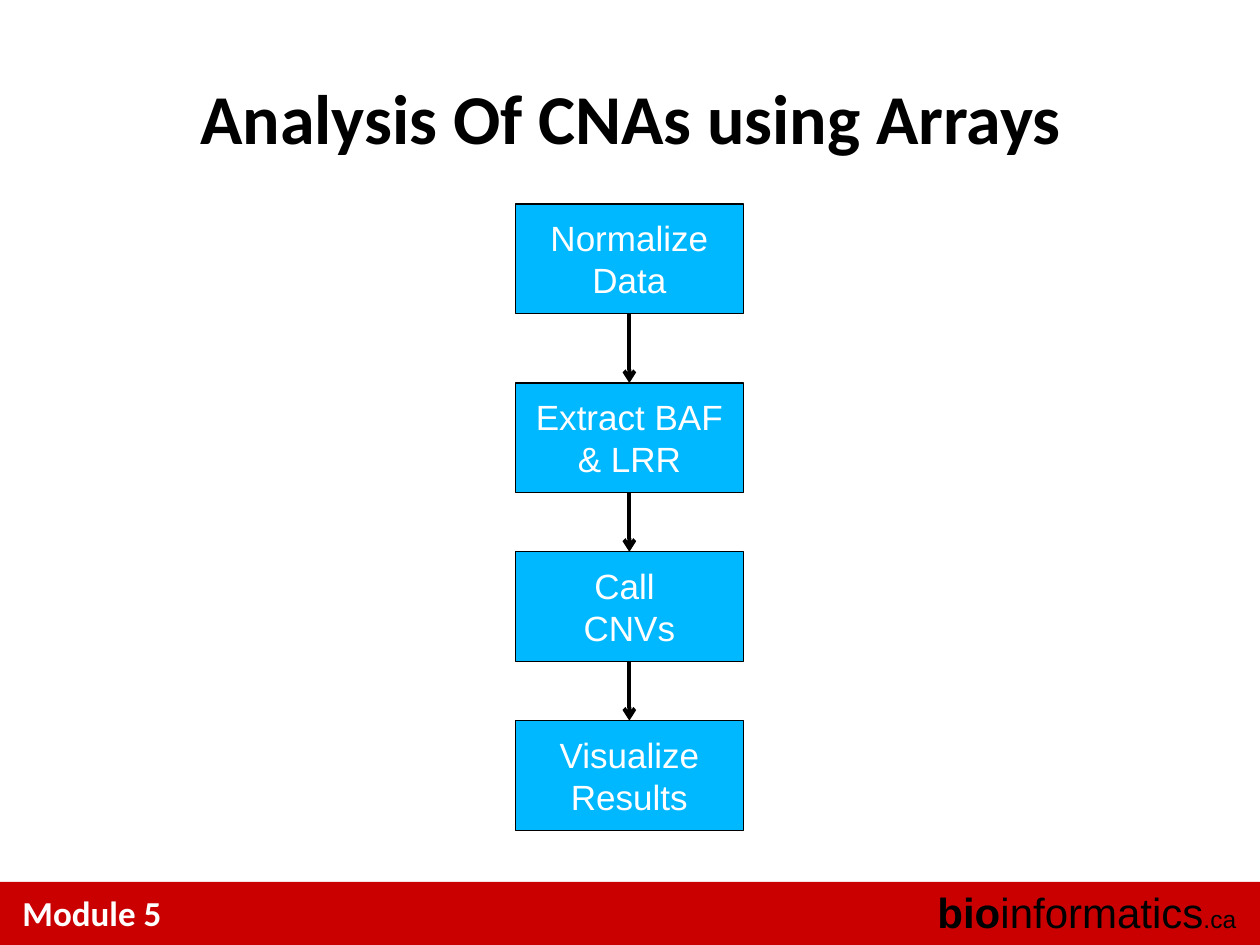
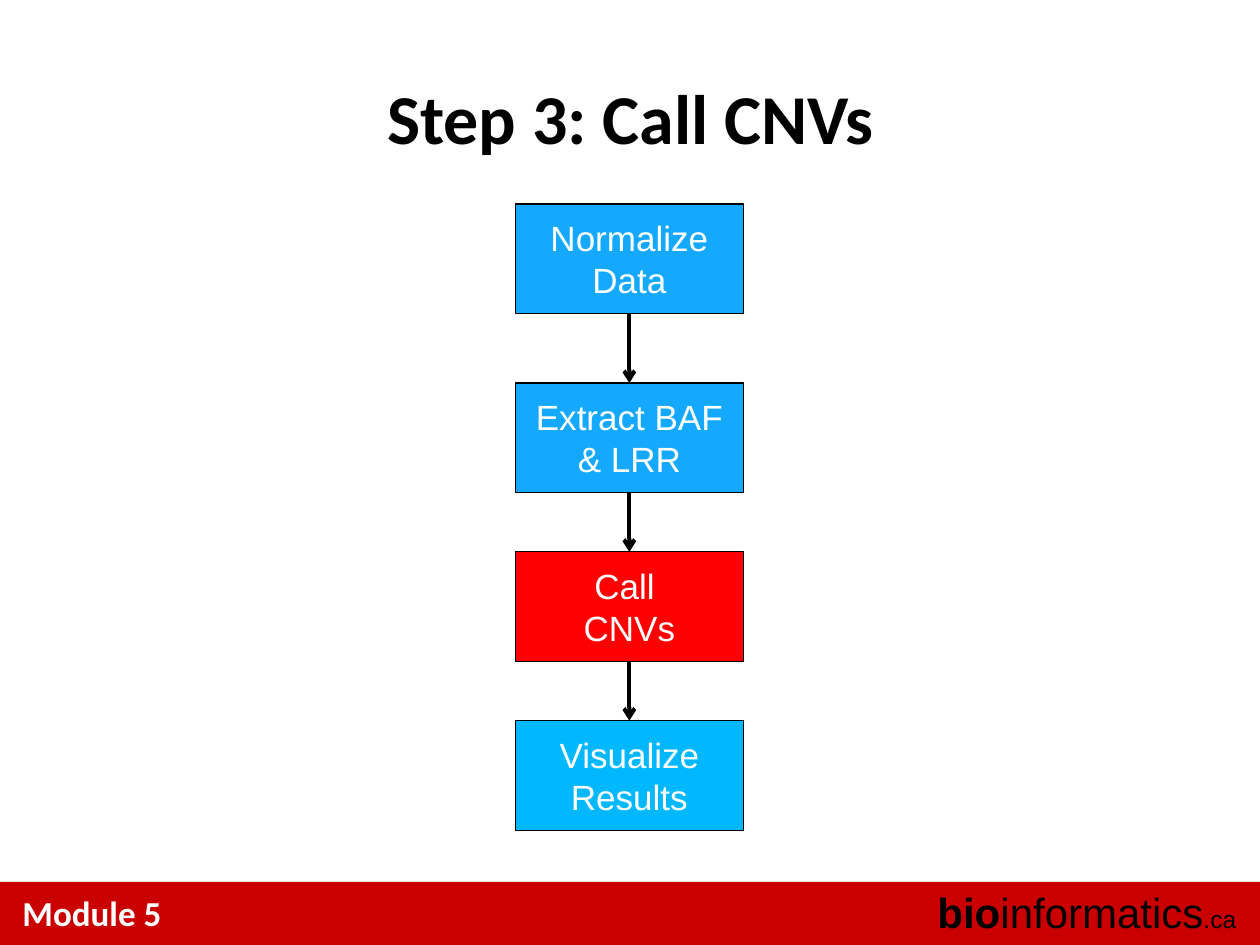
import lxml.etree
import pptx
import pptx.dml.color
import pptx.enum.shapes
import pptx.enum.text
import pptx.oxml.ns
import pptx.util

COLS, ROWS = 100, 75
BLACK, WHITE, BAND = "000000", "FFFFFF", "CA0000"
SKY, BLUE, RED = "00B8FF", "14A8FF", "FF0000"
STEPS = ["Normalize Data", "Extract BAF & LRR", "Call \vCNVs", "Visualize Results"]
STEP_TOPS = [16.2, 30.4, 43.8, 57.2]
SLIDES = [
    ("Analysis Of CNAs using Arrays", [SKY] * 4),
    ("Step 3: Call CNVs", [BLUE, BLUE, RED, SKY]),
]
ALIGN = pptx.enum.text.PP_ALIGN
ANCHOR = pptx.enum.text.MSO_ANCHOR


def color(value):
    return pptx.dml.color.RGBColor.from_string(value)


class Deck:
    heading_font, body_font = "Calibri", "Arial"

    def __init__(self):
        self.prs = pptx.Presentation()
        self.prs.slide_width = pptx.util.Inches(10)
        self.prs.slide_height = pptx.util.Inches(7.5)
        self.s = None

    def area(self, x, y, w, h):
        col, row = self.prs.slide_width / COLS, self.prs.slide_height / ROWS
        return [round(v) for v in (x * col, y * row, w * col, h * row)]

    def style(self, r, size, font, fill, bold=False):
        r.font.size = pptx.util.Pt(size)
        r.font.name = font
        r.font.bold = bold
        r.font.color.rgb = color(fill)

    def text(self, grid, runs, align=ALIGN.LEFT, anchor=ANCHOR.TOP):
        tf = self.s.shapes.add_textbox(*self.area(*grid)).text_frame
        tf.word_wrap = True
        tf.vertical_anchor = anchor
        p = tf.paragraphs[0]
        p.alignment = align
        for words, *look in runs:
            r = p.add_run()
            r.text = words
            self.style(r, *look)

    def box(self, grid, fill, line=None, words=""):
        rect = pptx.enum.shapes.MSO_SHAPE.RECTANGLE
        sp = self.s.shapes.add_shape(rect, *self.area(*grid))
        sp.shadow.inherit = False
        sp.fill.solid()
        sp.fill.fore_color.rgb = color(fill)
        if line:
            sp.line.color.rgb = color(line)
            sp.line.width = pptx.util.Pt(0.75)
        else:
            sp.line.fill.background()
        if words:
            tf = sp.text_frame
            tf.word_wrap = True
            tf.vertical_anchor = ANCHOR.MIDDLE
            p = tf.paragraphs[0]
            p.text = words
            p.alignment = ALIGN.CENTER
            for r in p.runs:
                self.style(r, 20, self.body_font, WHITE)
        return sp

    def arrow(self, upper, lower):
        qn = pptx.oxml.ns.qn
        kind = pptx.enum.shapes.MSO_CONNECTOR.STRAIGHT
        c = self.s.shapes.add_connector(kind, 0, 0, 0, 0)
        c.begin_connect(upper, 2)
        c.end_connect(lower, 0)
        c.line.color.rgb = color(BLACK)
        c.line.width = pptx.util.Pt(2.25)
        props = c.element.spPr
        lxml.etree.SubElement(props.find(qn("a:ln")), qn("a:tailEnd"), type="arrow")
        lxml.etree.SubElement(props, qn("a:effectLst"))

    def footer(self):
        self.box((0, 70, COLS, 5), BAND)
        self.text((0.8, 70.3, 73.3, 4.4),
                  [("Module 5", 20, self.heading_font, WHITE, True)])
        self.text((73.3, 69.9, 25.8, 5),
                  [("bio", 24, self.body_font, BLACK, True),
                   ("informatics", 24, self.body_font, BLACK),
                   (".ca", 14, self.body_font, BLACK)], ALIGN.RIGHT)

    def slide(self, title):
        self.s = self.prs.slides.add_slide(self.prs.slide_layouts[6])
        self.footer()
        self.text((1.7, 2.1, 96.7, 14.3),
                  [(title, 40, self.heading_font, BLACK, True)],
                  ALIGN.CENTER, ANCHOR.MIDDLE)

    def flow(self, fills):
        boxes = [self.box((40.9, top, 18.1, 8.7), fill, BLACK, step)
                 for top, fill, step in zip(STEP_TOPS, fills, STEPS)]
        for upper, lower in zip(boxes, boxes[1:]):
            self.arrow(upper, lower)


def main():
    deck = Deck()
    for title, fills in SLIDES:
        deck.slide(title)
        deck.flow(fills)
    deck.prs.save("out.pptx")


if __name__ == "__main__":
    main()
